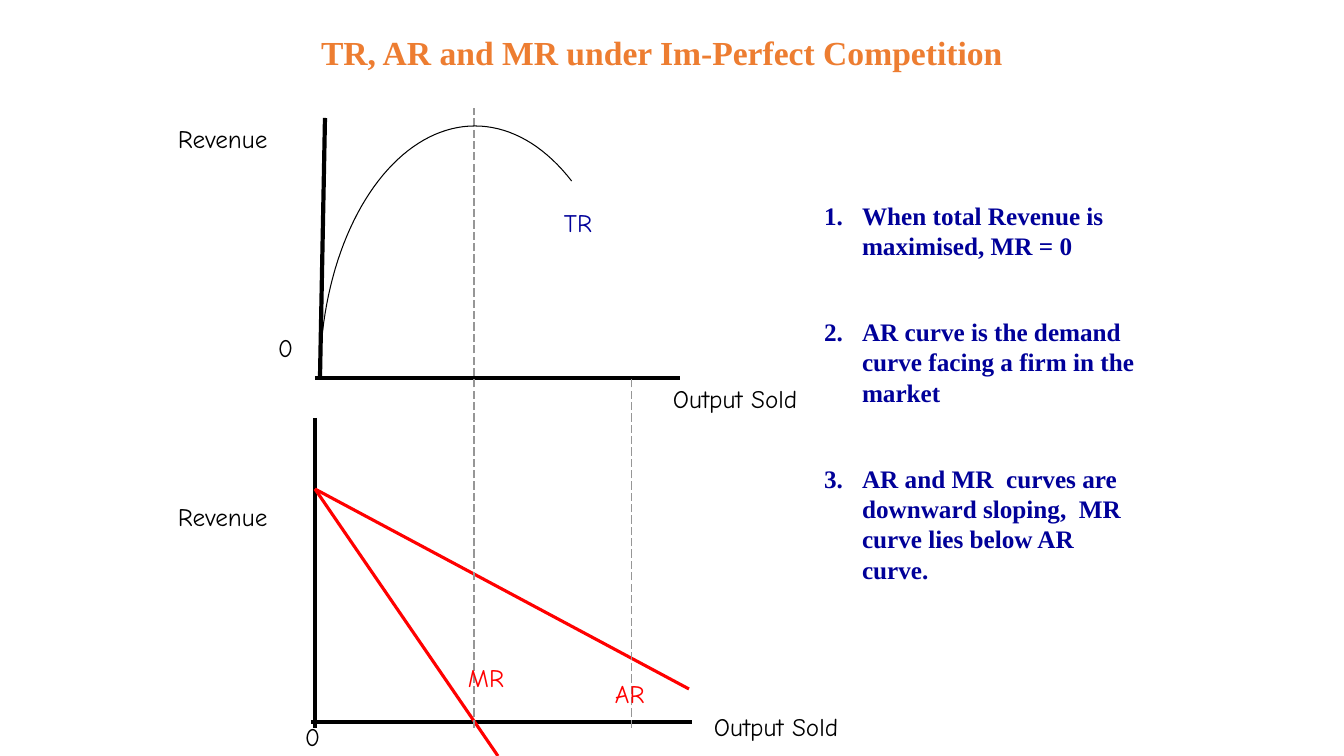
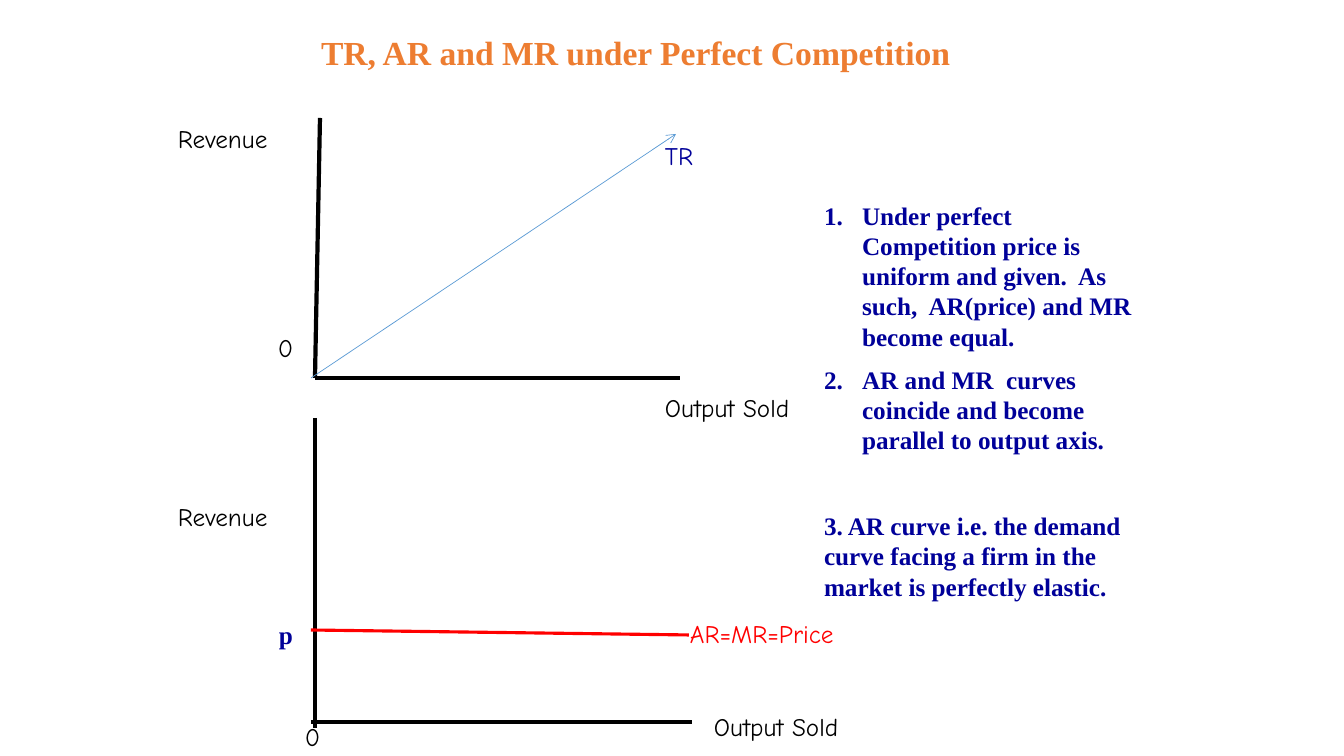
"""Builds two slides on total, average and marginal revenue curves."""
import math
from dataclasses import dataclass

import lxml.etree
import pptx
import pptx.dml.color
import pptx.enum.dml
import pptx.enum.shapes
import pptx.enum.text
import pptx.oxml.ns
import pptx.util

EMU_PER_PIXEL = 914400 / 100.8


@dataclass(frozen=True)
class Theme:
    heading: str = "ED7D31"
    ink: str = "000000"
    navy: str = "000099"
    red: str = "FF0000"
    guide: str = "969696"
    blue: str = "5B9BD5"
    serif: str = "Times New Roman"
    hand: str = "Comic Neue"
    title_size: int = 24
    text_size: int = 18
    line_pitch: float = 21.6
    axis_width: float = 3
    curve_width: float = 2.25
    thin_width: float = 0.75
    hair_width: float = 0.5


THEME = Theme()


def px(length):
    return pptx.util.Emu(round(length * EMU_PER_PIXEL))


def rgb(value):
    return pptx.dml.color.RGBColor.from_string(value)


def assign(target, values):
    for name, value in values.items():
        setattr(target, name, value)


def add_xml(parent, tag, **attributes):
    return lxml.etree.SubElement(parent, pptx.oxml.ns.qn(tag), attributes)


class Deck:
    def __init__(self, theme):
        self.theme = theme
        self.presentation = pptx.Presentation()
        assign(self.presentation, {"slide_width": px(1344), "slide_height": px(756)})
        self.slide = None

    def start_slide(self, heading):
        layout = self.presentation.slide_layouts[1]
        self.slide = self.presentation.slides.add_slide(layout)
        title = self.slide.shapes.title
        self.place(title, 311, 27, 789, 50)
        self.add_words(title.text_frame.paragraphs[0], heading, self.theme.heading,
                       self.theme.serif, self.theme.title_size, True)

    def place(self, shape, left, top, width, height):
        assign(shape, {"left": px(left), "top": px(top),
                       "width": px(width), "height": px(height)})
        assign(shape.text_frame, {
            "word_wrap": True,
            "auto_size": pptx.enum.text.MSO_AUTO_SIZE.NONE,
            "vertical_anchor": pptx.enum.text.MSO_ANCHOR.TOP,
            "margin_left": px(10), "margin_right": px(10),
            "margin_top": px(5), "margin_bottom": px(5)})

    def add_words(self, paragraph, text, color, face, size, bold):
        paragraph.alignment = pptx.enum.text.PP_ALIGN.LEFT
        run = paragraph.add_run()
        run.text = text
        assign(run.font, {"name": face, "size": pptx.util.Pt(size), "bold": bold})
        run.font.color.rgb = rgb(color)

    def label(self, text, left, top, color=THEME.ink, face=THEME.hand, bold=False, width=230):
        box = self.slide.shapes.add_textbox(0, 0, 0, 0)
        self.place(box, left, top, width, 40)
        self.add_words(box.text_frame.paragraphs[0], text, color, face,
                       self.theme.text_size, bold)

    def points(self, items):
        body = self.slide.placeholders[1]
        self.place(body, 814, 195, 334, 420)
        frame = body.text_frame
        for index, (text, gap, numbered) in enumerate(items):
            paragraph = frame.add_paragraph() if index else frame.paragraphs[0]
            self.add_words(paragraph, text, self.theme.navy, self.theme.serif,
                           self.theme.text_size, True)
            assign(paragraph, {"space_before": pptx.util.Pt(gap),
                               "space_after": pptx.util.Pt(0),
                               "line_spacing": pptx.util.Pt(self.theme.line_pitch)})
            properties = paragraph._p.get_or_add_pPr()
            indent = px(38) if numbered else 0
            properties.set("marL", str(indent))
            properties.set("indent", str(-indent))
            if numbered:
                add_xml(properties, "a:buFont", typeface=self.theme.serif)
                add_xml(properties, "a:buAutoNum", type="arabicPeriod")
            else:
                add_xml(properties, "a:buNone")

    def line(self, start, end, color, width, dash=None, arrow=False):
        connector = self.slide.shapes.add_connector(
            pptx.enum.shapes.MSO_CONNECTOR.STRAIGHT, *map(px, start + end))
        connector.line.color.rgb = rgb(color)
        assign(connector.line, {"width": pptx.util.Pt(width), "dash_style": dash})
        if arrow:
            add_xml(connector.line._get_or_add_ln(), "a:tailEnd", type="arrow")
        add_xml(connector._element.spPr, "a:effectLst")

    def guide(self, x, top):
        self.line((x, 728), (x, top), self.theme.guide, self.theme.thin_width,
                  dash=pptx.enum.dml.MSO_LINE.LONG_DASH)

    def arc(self, center, radii, first, last):
        angles = [math.radians(first + (last - first) * step / 60) for step in range(61)]
        trace = [(px(center[0] + radii[0] * math.cos(angle)),
                  px(center[1] - radii[1] * math.sin(angle))) for angle in angles]
        builder = self.slide.shapes.build_freeform(*trace[0], scale=1.0)
        builder.add_line_segments(trace[1:], close=False)
        curve = builder.convert_to_shape()
        curve.shadow.inherit = False
        curve.fill.background()
        curve.line.color.rgb = rgb(self.theme.ink)
        curve.line.width = pptx.util.Pt(self.theme.thin_width)

    def axes(self, upper_axis_foot, upper_output):
        for start, end in (((upper_axis_foot + 5, 118), (upper_axis_foot, 378)),
                           ((315, 378), (680, 378)),
                           ((315, 418), (315, 728)),
                           ((311, 722), (692, 722))):
            self.line(start, end, self.theme.ink, self.theme.axis_width)
        for text, left, top in (("Output Sold", *upper_output), ("Output Sold", 704, 706),
                                ("Revenue", 168, 118), ("Revenue", 168, 496),
                                ("0", 268, 327), ("0", 295, 716)):
            self.label(text, left, top)


deck = Deck(THEME)

deck.start_slide("TR, AR and MR under Im-Perfect Competition")
deck.axes(320, (663, 378))
deck.line((315, 489), (689, 689), THEME.red, THEME.curve_width)
deck.line((315, 489), (498, 756), THEME.red, THEME.curve_width)
deck.guide(632, 378)
deck.guide(474, 108)
deck.arc((475, 378), (155, 252), 180, 51.4)
deck.label("TR", 554, 202, THEME.navy)
deck.label("AR", 605, 673, THEME.red)
deck.label("MR", 458, 657, THEME.red)
deck.points([
    ("When total Revenue is maximised, MR = 0", 0, True),
    ("AR curve is the demand curve facing a firm in the market", 40, True),
    ("AR and MR  curves are downward sloping,  MR curve lies below AR curve.", 40, True)])

deck.start_slide("TR, AR and MR under Perfect Competition")
deck.axes(315, (655, 387))
deck.line((311, 630), (689, 635), THEME.red, THEME.curve_width)
deck.line((311, 378), (676, 134), THEME.blue, THEME.hair_width, arrow=True)
deck.label("TR", 655, 135, THEME.navy)
deck.label("AR=MR=Price", 680, 613, THEME.red)
deck.label("p", 269, 614, THEME.navy, THEME.serif, True, 40)
deck.points([
    ("Under perfect Competition price is uniform and given.  As such,  AR(price) "
     "and MR become equal.", 0, True),
    ("AR and MR  curves coincide and become parallel to output axis.", 9, True),
    ("3. AR curve i.e. the demand curve facing a firm in the market is perfectly "
     "elastic.", 40, False)])

deck.presentation.save("out.pptx")
